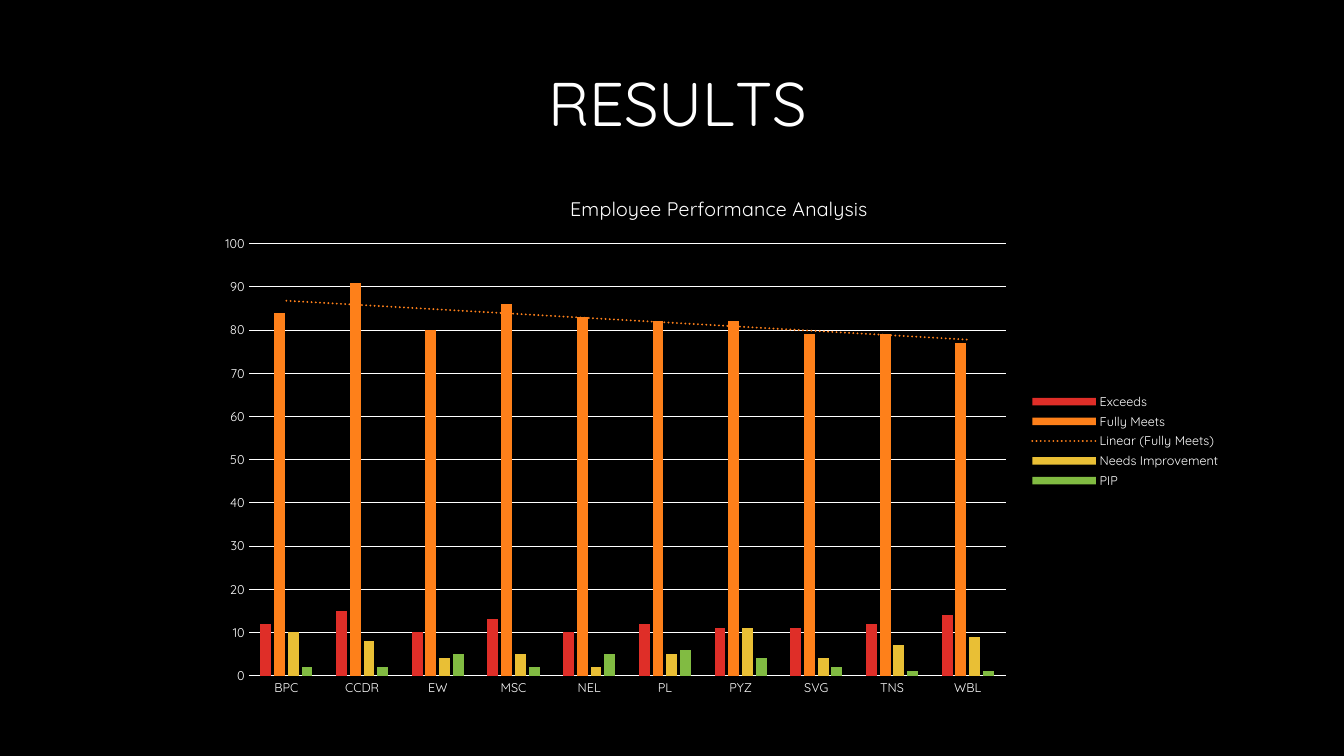
from lxml import etree
from pptx import Presentation
from pptx.chart.data import CategoryChartData
from pptx.dml.color import RGBColor
from pptx.enum.chart import XL_CHART_TYPE, XL_LEGEND_POSITION, XL_TICK_MARK
from pptx.enum.text import MSO_ANCHOR, PP_ALIGN
from pptx.util import Pt

BARS = XL_CHART_TYPE.COLUMN_CLUSTERED
RIGHT = XL_LEGEND_POSITION.RIGHT
NO_TICK = XL_TICK_MARK.NONE
MIDDLE = MSO_ANCHOR.MIDDLE
ALIGN = PP_ALIGN.RIGHT

BLACK = RGBColor(0x00, 0x00, 0x00)
WHITE = RGBColor(0xFF, 0xFF, 0xFF)
RED = RGBColor(0xDF, 0x2E, 0x28)
ORANGE = RGBColor(0xFE, 0x80, 0x1A)
YELLOW = RGBColor(0xE9, 0xBF, 0x35)
GREEN = RGBColor(0x81, 0xBB, 0x42)
FACE = "Quicksand"

HEAD = [("RESU", 0), ("L", -400), ("TS", 0)]
NAME = "Employee Performance Analysis"
TEAMS = ["BPC", "CCDR", "EW", "MSC", "NEL", "PL", "PYZ", "SVG", "TNS", "WBL"]
RATINGS = [
    ("Exceeds", RED, [12, 15, 10, 13, 10, 12, 11, 11, 12, 14]),
    ("Fully Meets", ORANGE, [84, 91, 80, 86, 83, 82, 82, 79, 79, 77]),
    ("Needs Improvement", YELLOW, [10, 8, 4, 5, 2, 5, 11, 4, 7, 9]),
    ("PIP", GREEN, [2, 2, 5, 2, 5, 6, 4, 2, 1, 1]),
]
TREND = "Fully Meets"
PLOT = {"x": 0.04, "y": 0.13, "w": 0.74, "h": 0.81}

C_NS = "http://schemas.openxmlformats.org/drawingml/2006/chart"
A_NS = "http://schemas.openxmlformats.org/drawingml/2006/main"


def style(font, size):
    font.name = FACE
    font.size = Pt(size)
    font.bold = False
    font.color.rgb = WHITE


def rule(line):
    line.color.rgb = WHITE
    line.width = Pt(0.75)


def add_head(slide):
    box = slide.shapes.add_textbox(Pt(306), Pt(41), Pt(278), Pt(70))
    frame = box.text_frame
    frame.word_wrap = True
    frame.vertical_anchor = MIDDLE
    para = frame.paragraphs[0]
    para.alignment = ALIGN
    para.line_spacing = 0.9
    style(para.font, 44)
    for text, gap in HEAD:
        run = para.add_run()
        run.text = text
        if gap:
            run.font._element.set("spc", str(gap))


def add_trend(bars, color):
    xml = (
        f'<c:trendline xmlns:c="{C_NS}" xmlns:a="{A_NS}"><c:spPr>'
        f'<a:ln w="{Pt(1.5)}" cap="rnd"><a:solidFill><a:srgbClr val="{color}"/>'
        '</a:solidFill><a:prstDash val="sysDot"/></a:ln></c:spPr>'
        '<c:trendlineType val="linear"/><c:dispRSqr val="0"/>'
        '<c:dispEq val="0"/></c:trendline>'
    )
    bars._element.find(f"{{{C_NS}}}cat").addprevious(etree.fromstring(xml))


def place_plot(chart):
    modes = "".join(f'<c:{key}Mode val="edge"/>' for key in "xy")
    sizes = "".join(f'<c:{key} val="{val}"/>' for key, val in PLOT.items())
    xml = (
        f'<c:layout xmlns:c="{C_NS}"><c:manualLayout>'
        f'<c:layoutTarget val="inner"/>{modes}{sizes}'
        '</c:manualLayout></c:layout>'
    )
    area = chart._chartSpace.find(f".//{{{C_NS}}}plotArea")
    area.insert(0, etree.fromstring(xml))


def add_graph(slide):
    data = CategoryChartData()
    data.categories = TEAMS
    for name, _, vals in RATINGS:
        data.add_series(name, vals)
    frame = slide.shapes.add_chart(
        BARS, Pt(148.3), Pt(124.6), Pt(730.8), Pt(380.9), data
    )
    chart = frame.chart
    style(chart.font, 10)

    chart.has_title = True
    title = chart.chart_title
    title.include_in_layout = False
    title.text_frame.text = NAME
    style(title.text_frame.paragraphs[0].font, 14)

    chart.has_legend = True
    chart.legend.position = RIGHT
    chart.legend.include_in_layout = False
    style(chart.legend.font, 9)

    for axis in (chart.category_axis, chart.value_axis):
        axis.major_tick_mark = NO_TICK
        axis.minor_tick_mark = NO_TICK
        style(axis.tick_labels.font, 9)
    rule(chart.category_axis.format.line)
    scale = chart.value_axis
    scale.minimum_scale = 0
    scale.maximum_scale = 100
    scale.major_unit = 10
    scale.format.line.fill.background()
    rule(scale.major_gridlines.format.line)

    plot = chart.plots[0]
    plot.gap_width = 219
    plot.overlap = -27
    plot.vary_by_categories = False
    for bars, (name, color, _) in zip(plot.series, RATINGS):
        bars.invert_if_negative = False
        bars.format.fill.solid()
        bars.format.fill.fore_color.rgb = color
        if name == TREND:
            add_trend(bars, color)
    place_plot(chart)


def main():
    deck = Presentation()
    deck.slide_width = Pt(960)
    deck.slide_height = Pt(540)
    slide = deck.slides.add_slide(deck.slide_layouts[6])
    slide.background.fill.solid()
    slide.background.fill.fore_color.rgb = BLACK
    add_head(slide)
    add_graph(slide)
    deck.save("out.pptx")


if __name__ == "__main__":
    main()
